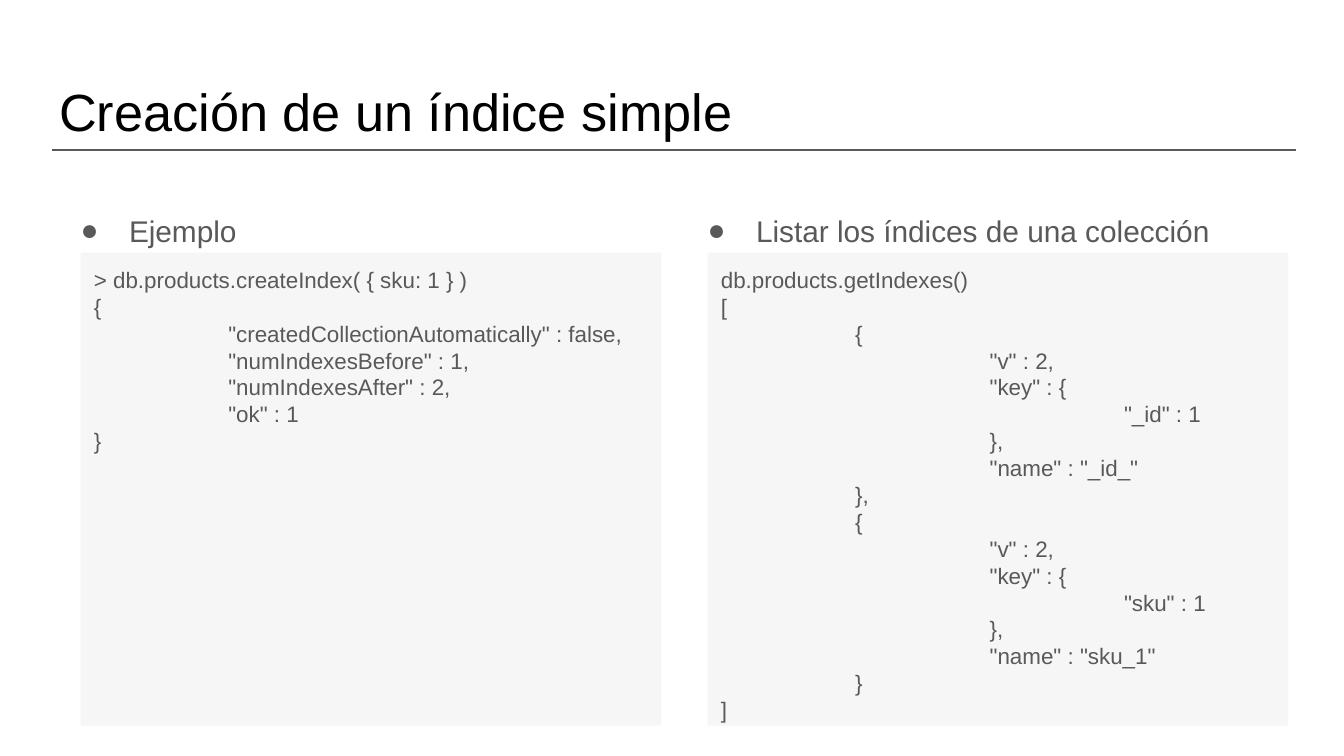
import dataclasses
import typing

import lxml.etree
import pptx
import pptx.dml.color
import pptx.enum.shapes
import pptx.enum.text
import pptx.oxml.ns
import pptx.util

BLACK = pptx.dml.color.RGBColor(0x00, 0x00, 0x00)
GRAY = pptx.dml.color.RGBColor(0x59, 0x59, 0x59)
PALE = pptx.dml.color.RGBColor(0xF6, 0xF6, 0xF6)
FONT = "Arial"
UNIT = pptx.util.Inches(0.1)
WIDE, HIGH = 100, 56.25
LEFT, STEP = 3.6, 46.65
INSET = 2.4
TAB = 10


@dataclasses.dataclass
class Box:
    col: float
    row: float
    wide: float
    high: float

    def place(self, shape: typing.Any) -> None:
        shape.left, shape.top = grid(self.col), grid(self.row)
        shape.width, shape.height = grid(self.wide), grid(self.high)


@dataclasses.dataclass
class Panel:
    head: str
    code: str


PANELS = [
    Panel("Ejemplo", """> db.products.createIndex( { sku: 1 } )
{
\t"createdCollectionAutomatically" : false,
\t"numIndexesBefore" : 1,
\t"numIndexesAfter" : 2,
\t"ok" : 1
}"""),
    Panel("Listar los índices de una colección", """db.products.getIndexes()
[
\t{
\t\t"v" : 2,
\t\t"key" : {
\t\t\t"_id" : 1
\t\t},
\t\t"name" : "_id_"
\t},
\t{
\t\t"v" : 2,
\t\t"key" : {
\t\t\t"sku" : 1
\t\t},
\t\t"name" : "sku_1"
\t}
]"""),
]


def grid(count: float) -> int:
    return round(count * UNIT)


def write(shape: typing.Any, text: str, size: float,
          color: pptx.dml.color.RGBColor, lead: float = 1.0) -> None:
    frame = shape.text_frame
    frame.text = text
    frame.word_wrap = True
    frame.auto_size = pptx.enum.text.MSO_AUTO_SIZE.NONE
    frame.vertical_anchor = pptx.enum.text.MSO_ANCHOR.TOP
    frame.margin_left = frame.margin_right = UNIT
    frame.margin_top = frame.margin_bottom = UNIT
    for para in frame.paragraphs:
        para.alignment = pptx.enum.text.PP_ALIGN.LEFT
        para.line_spacing = lead
        para.space_before = para.space_after = pptx.util.Pt(0)
        para._p.get_or_add_pPr().set("defTabSz", str(grid(TAB)))
        for run in para.runs:
            run.font.name = FONT
            run.font.size = pptx.util.Pt(size)
            run.font.color.rgb = color


def add_dot(para: typing.Any) -> None:
    tag = pptx.oxml.ns.qn
    props = para._p.get_or_add_pPr()
    props.set("marL", str(grid(5)))
    props.set("indent", str(grid(-3.6)))
    tint = lxml.etree.SubElement(props, tag("a:buClr"))
    lxml.etree.SubElement(tint, tag("a:srgbClr"), val=str(GRAY))
    lxml.etree.SubElement(props, tag("a:buFont"), typeface=FONT)
    lxml.etree.SubElement(props, tag("a:buChar"), char="●")


def add_rule(slide: typing.Any, start: float, end: float, row: float) -> None:
    rule = slide.shapes.add_connector(
        pptx.enum.shapes.MSO_CONNECTOR.STRAIGHT,
        grid(start), grid(row), grid(end), grid(row))
    rule.line.color.rgb = GRAY
    rule.line.width = pptx.util.Pt(0.75)
    lxml.etree.SubElement(rule._element.spPr, pptx.oxml.ns.qn("a:effectLst"))


def add_panel(slide: typing.Any, index: int, panel: Panel) -> None:
    col = LEFT + index * STEP
    body = slide.placeholders[index + 1]
    Box(col, 13.5, 45.6, 40.5).place(body)
    write(body, panel.head, 16, GRAY, 1.5)
    add_dot(body.text_frame.paragraphs[0])

    block = slide.shapes.add_shape(
        pptx.enum.shapes.MSO_SHAPE.RECTANGLE, 0, 0, 0, 0)
    Box(col + INSET, 18.8, 45.6 - INSET, 35.2).place(block)
    block.shadow.inherit = False
    block.fill.solid()
    block.fill.fore_color.rgb = PALE
    block.line.fill.background()
    write(block, panel.code, 12, GRAY)


def main() -> None:
    deck = pptx.Presentation()
    deck.slide_width, deck.slide_height = grid(WIDE), grid(HIGH)
    slide = deck.slides.add_slide(deck.slide_layouts[3])
    title = slide.shapes.title
    Box(3.4, 4.9, 93.2, 6.3).place(title)
    write(title, "Creación de un índice simple", 28, BLACK)
    add_rule(slide, 3.85, 96.4, 11.17)
    for index, panel in enumerate(PANELS):
        add_panel(slide, index, panel)
    deck.save("out.pptx")


if __name__ == "__main__":
    main()
